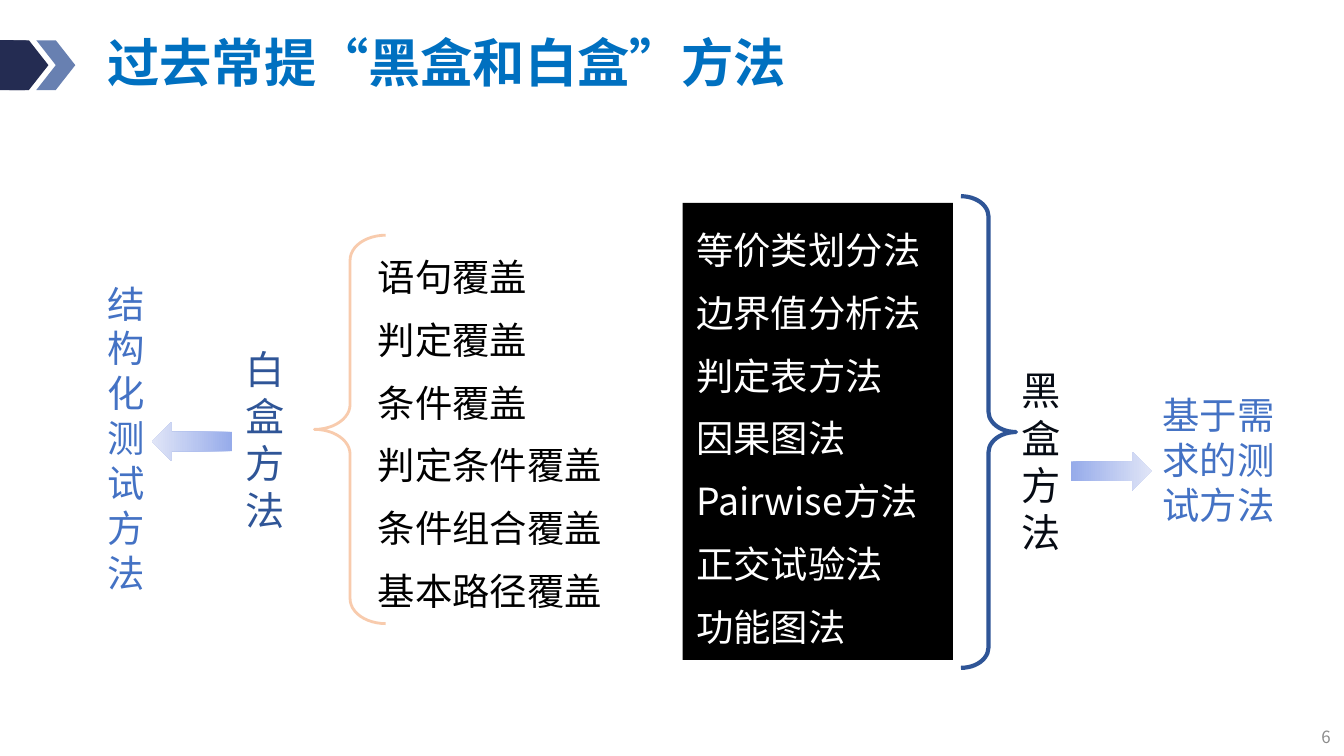
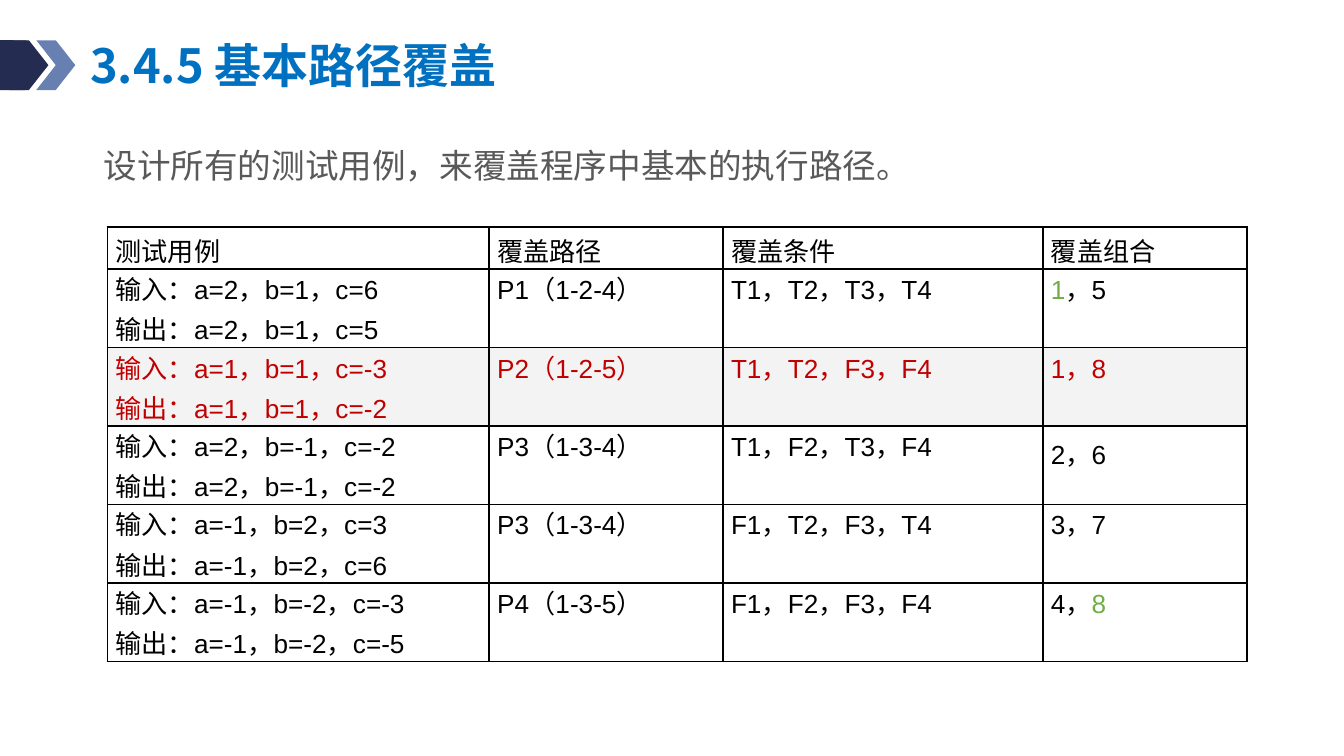
from lxml import etree
from pptx import Presentation
from pptx.dml.color import RGBColor
from pptx.enum.shapes import MSO_SHAPE
from pptx.enum.text import MSO_ANCHOR, MSO_AUTO_SIZE, PP_ALIGN
from pptx.oxml.ns import qn
from pptx.util import Emu, Pt

PX = 9144  # 100 px to the inch
FONT = "Noto Sans CJK SC"
LEFT, RIGHT, JUSTIFY = PP_ALIGN.LEFT, PP_ALIGN.RIGHT, PP_ALIGN.JUSTIFY
TOP, MIDDLE = MSO_ANCHOR.TOP, MSO_ANCHOR.MIDDLE
CHEVRON, ROUND_RECT = MSO_SHAPE.CHEVRON, MSO_SHAPE.ROUNDED_RECTANGLE
LEFT_BRACE, RIGHT_BRACE = MSO_SHAPE.LEFT_BRACE, MSO_SHAPE.RIGHT_BRACE
LEFT_ARROW = MSO_SHAPE.LEFT_ARROW
COLORS = {
    "title": "0070C0", "navy": "242C52", "slate": "6880B1",
    "black": "000000", "white": "FFFFFF", "ink": "060B14",
    "blue": "4472C4", "deep": "2F5597", "peach": "F8CBAD",
    "arrow_dark": "96ABEA", "arrow_light": "E0E5F7",
    "grey": "595959", "number": "8C8C8C", "band": "F3F3F3",
    "red": "C00000", "green": "70AD47",
}
RGB = {name: RGBColor.from_string(code) for name, code in COLORS.items()}


def write(tf, lines, size, color, font=FONT, bold=False, align=LEFT,
          spacing=1.0, gap=0, hang=None):
    """Fill tf; a line is a string or a list of (text, colour) runs.

    gap is the space between lines in points; hang is the hanging indent
    of an unbulleted list, in px.
    """
    for i, line in enumerate(lines):
        p = tf.paragraphs[0] if i == 0 else tf.add_paragraph()
        if hang is not None:
            pPr = p._p.get_or_add_pPr()
            pPr.set("marL", str(hang * PX))
            pPr.set("indent", str(-hang * PX))
            etree.SubElement(pPr, qn("a:buNone"))
        p.alignment, p.line_spacing = align, spacing
        p.space_before = Pt(0)
        p.space_after = Pt(gap if i < len(lines) - 1 else 0)
        for text, run_color in [(line, color)] if isinstance(line, str) else line:
            r = p.add_run()
            r.text = text
            r.font.size, r.font.bold, r.font.name = Pt(size), bold, font
            r.font.color.rgb = RGB[run_color]
            etree.SubElement(r._r.get_or_add_rPr(), qn("a:ea")).set("typeface", FONT)


def place(sp, box, inset=(10, 5), anchor=TOP):
    """Move a text shape to box (px) and set up its frame."""
    sp.left, sp.top, sp.width, sp.height = (Emu(v * PX) for v in box)
    tf = sp.text_frame
    tf.word_wrap, tf.auto_size, tf.vertical_anchor = True, MSO_AUTO_SIZE.NONE, anchor
    tf.margin_left = tf.margin_right = Emu(inset[0] * PX)
    tf.margin_top = tf.margin_bottom = Emu(inset[1] * PX)
    return tf


prs = Presentation()
prs.slide_width = Emu(1000 * PX)
prs.slide_height = Emu(1000 * PX * 9 // 16)
methods = prs.slides.add_slide(prs.slide_layouts[3])
paths = prs.slides.add_slide(prs.slide_layouts[1])

# Title marker, shared through the master
master_tree = prs.slide_master.shapes._spTree
for i, (kind, left, width, color) in enumerate([
        (ROUND_RECT, -13, 35, "navy"), (CHEVRON, 27, 29, "slate"),
        (CHEVRON, 7, 29, "navy")]):
    sp = methods.shapes.add_shape(kind, left * PX, 30 * PX, width * PX, 37 * PX)
    sp.shadow.inherit = False
    sp.adjustments[0] = 0.1 if kind == ROUND_RECT else 0.5
    sp.fill.solid()
    sp.fill.fore_color.rgb = RGB[color]
    sp.line.fill.background()
    sp._element.nvSpPr.cNvPr.set("id", str(100 + i))
    master_tree.insert(2 + i, sp._element)

# Titles
for slide, text, size, box, inset in [
        (methods, "过去常提“黑盒和白盒”方法", 28, (70, 19, 571, 60), (10, 5)),
        (paths, "3.4.5 基本路径覆盖", 25.2, (67, 29, 588, 44), (0, 0))]:
    tf = place(slide.shapes.title, box, inset, MIDDLE)
    write(tf, [text], size, "title", bold=True, spacing=0.9)

# Slide 1: white-box and black-box method lists
white_list, black_list = methods.placeholders[1], methods.placeholders[2]
tf = place(white_list, (281, 176, 195, 283), (0, 0))
write(tf, ["语句覆盖", "判定覆盖", "条件覆盖", "判定条件覆盖", "条件组合覆盖",
           "基本路径覆盖"], 20, "black", spacing=1.4, hang=9)
black_list.fill.solid()
black_list.fill.fore_color.rgb = RGB["black"]
tf = place(black_list, (508, 151, 201, 340))
write(tf, ["等价类划分法", "边界值分析法", "判定表方法", "因果图法", "Pairwise方法",
           "正交试验法", "功能图法"], 20, "white", spacing=1.4, hang=0)

for text, size, color, box in [
        ("黑盒方法", 21, "ink", (750, 268, 77, 151)),
        ("白盒方法", 21, "deep", (173, 252, 77, 151)),
        ("基于需求的测试方法", 20, "blue", (855, 287, 105, 111)),
        ("结构化测试方法", 20, "blue", (70, 204, 60, 246))]:
    write(place(methods.shapes.add_textbox(0, 0, 0, 0), box), [text], size, color)

for kind, box, bend, color, weight in [
        (RIGHT_BRACE, (715, 146, 41, 351), 0.37, "deep", 2.25),
        (LEFT_BRACE, (234, 175, 53, 289), 0.35, "peach", 1.5)]:
    sp = methods.shapes.add_shape(kind, *(v * PX for v in box))
    sp.shadow.inherit = False
    sp.adjustments[0] = bend
    sp.fill.background()
    sp.line.color.rgb, sp.line.width = RGB[color], Pt(weight)

for left, top, rotation in [(113, 314, 0), (797, 336, 180)]:
    sp = methods.shapes.add_shape(LEFT_ARROW, left * PX, top * PX, 60 * PX, 29 * PX)
    sp.shadow.inherit = False
    sp.rotation = rotation
    sp.fill.gradient()
    sp.fill.gradient_angle = 180
    for stop, color in zip(sp.fill.gradient_stops, ("arrow_dark", "arrow_light")):
        stop.color.rgb = RGB[color]
    sp.line.fill.background()

tf = place(methods.shapes.add_textbox(0, 0, 0, 0), (0, 537, 1000, 22), anchor=MIDDLE)
write(tf, ["6"], 9, "number", align=RIGHT)

# Slide 2: statement and test-case table
tf = place(paths.placeholders[1], (67, 94, 873, 49))
write(tf, ["设计所有的测试用例，来覆盖程序中基本的执行路径。"], 18, "grey",
      spacing=1.3, hang=0)

rows = [
    (["测试用例"], "覆盖路径", "覆盖条件", "覆盖组合"),
    (["输入：a=2，b=1，c=6", "输出：a=2，b=1，c=5"],
     "P1（1-2-4）", "T1，T2，T3，T4", [("1", "green"), ("，5", "black")]),
    (["输入：a=1，b=1，c=-3", "输出：a=1，b=1，c=-2"],
     "P2（1-2-5）", "T1，T2，F3，F4", "1，8"),
    (["输入：a=2，b=-1，c=-2", "输出：a=2，b=-1，c=-2"],
     "P3（1-3-4）", "T1，F2，T3，F4", "2，6"),
    (["输入：a=-1，b=2，c=3", "输出：a=-1，b=2，c=6"],
     "P3（1-3-4）", "F1，T2，F3，T4", "3，7"),
    (["输入：a=-1，b=-2，c=-3", "输出：a=-1，b=-2，c=-5"],
     "P4（1-3-5）", "F1，F2，F3，F4", [("4，", "black"), ("8", "green")]),
]
HIGHLIGHT = 2
col_widths = [284, 174, 238, 152]
row_heights = [30] + [57] * 5
table = paths.shapes.add_table(
    len(rows), len(col_widths), 80 * PX, 169 * PX,
    sum(col_widths) * PX, sum(row_heights) * PX).table
table.first_row = table.horz_banding = False
for col, width in zip(table.columns, col_widths):
    col.width = Emu(width * PX)
for i, (cases, *others) in enumerate(rows):
    table.rows[i].height = Emu(row_heights[i] * PX)
    for j, lines in enumerate([cases] + [[other] for other in others]):
        cell = table.cell(i, j)
        cell.margin_left = cell.margin_right = Emu(6 * PX)
        cell.margin_top = cell.margin_bottom = Emu(0)
        tcPr = cell._tc.get_or_add_tcPr()
        for side in ("lnL", "lnR", "lnT", "lnB"):
            ln = etree.SubElement(tcPr, qn("a:" + side), w=str(Pt(1)))
            fill = etree.SubElement(ln, qn("a:solidFill"))
            etree.SubElement(fill, qn("a:srgbClr"), val=COLORS["black"])
        if i == HIGHLIGHT:
            cell.fill.solid()
            cell.fill.fore_color.rgb = RGB["band"]
        else:
            cell.fill.background()
        spacing = 1.1 if i == 0 else 1.2 if lines == ["2，6"] else 1.0
        write(cell.text_frame, lines, 14, "red" if i == HIGHLIGHT else "black",
              font="Arial", align=JUSTIFY, spacing=spacing, gap=1.2)

prs.save("out.pptx")
